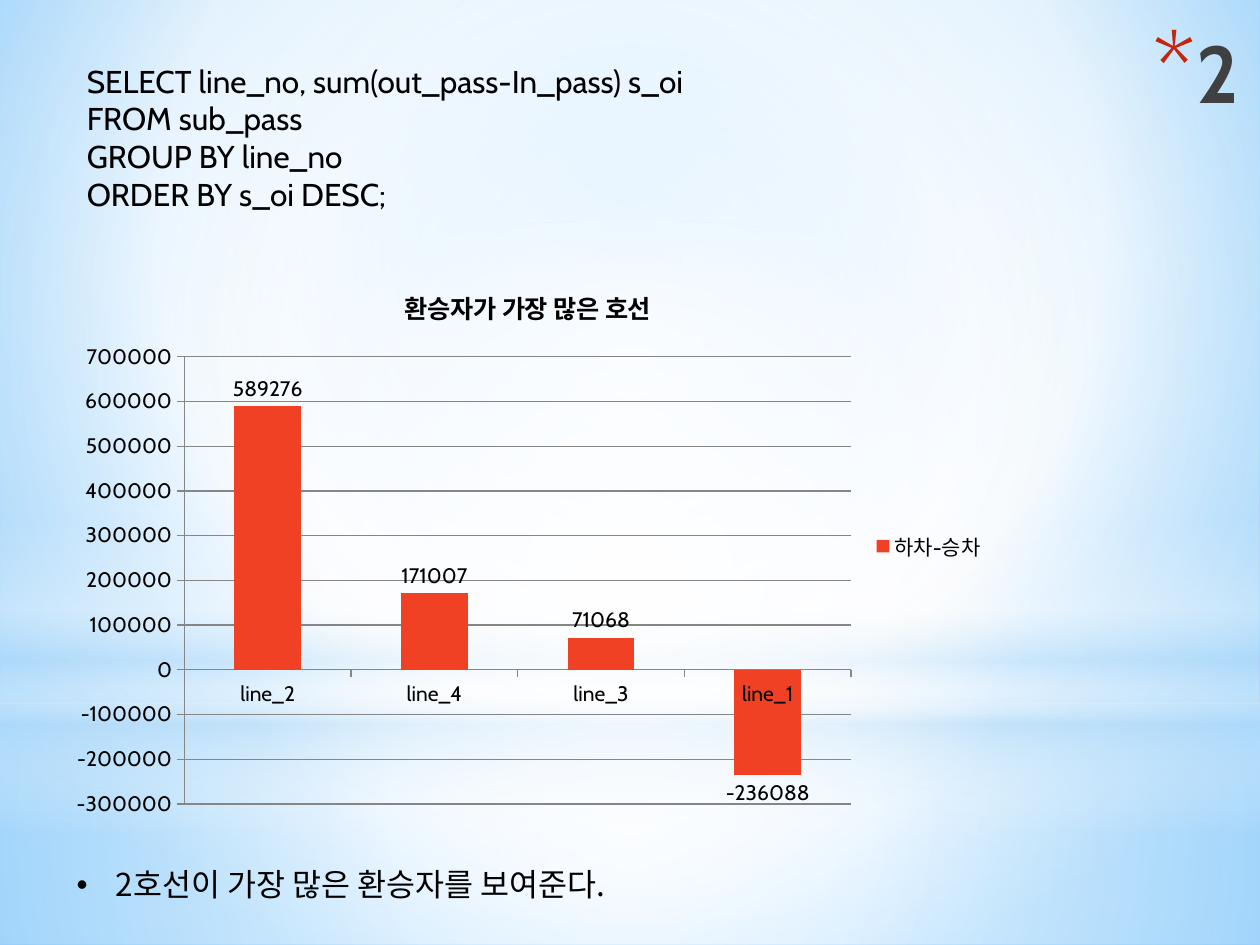
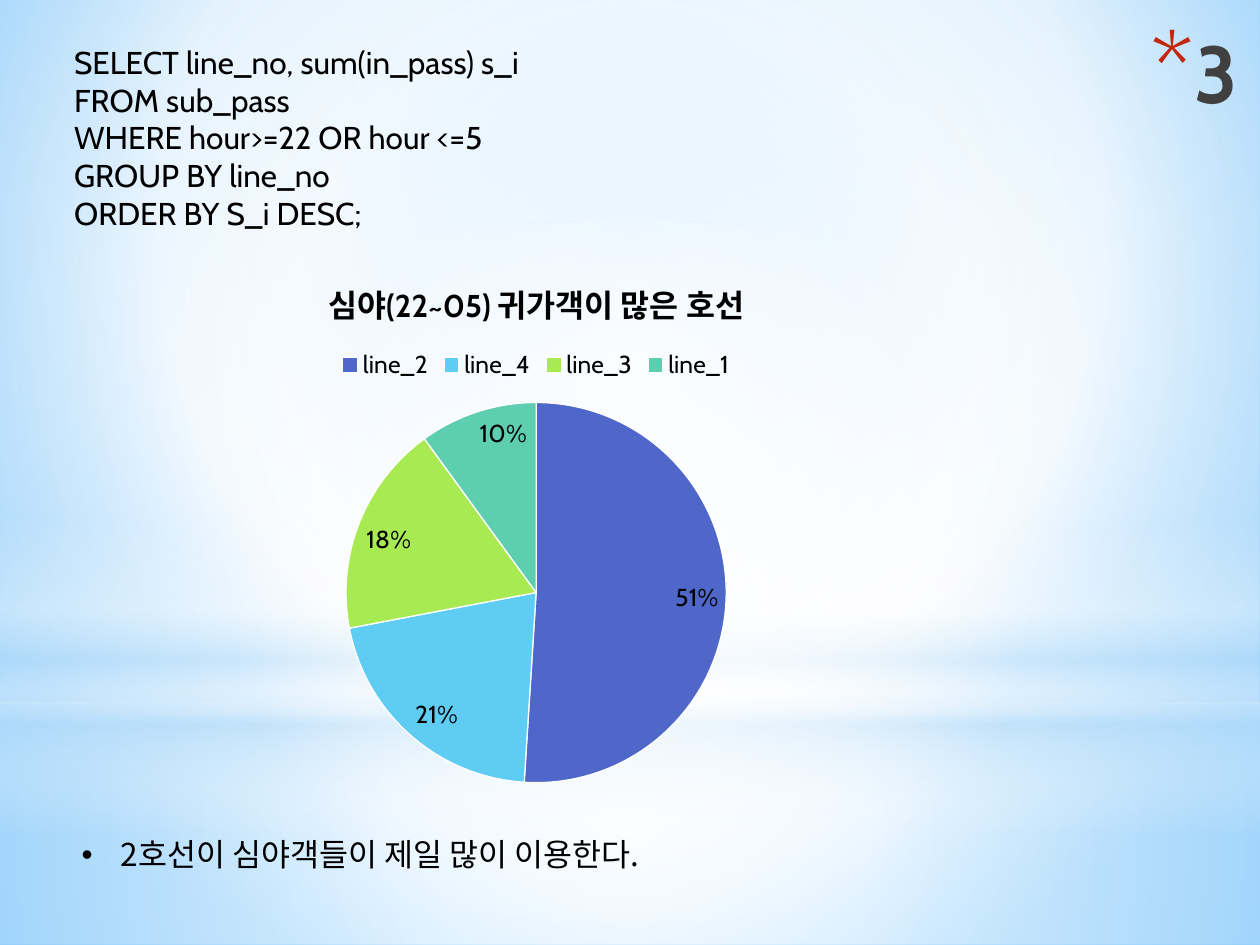
from lxml.etree import SubElement
from pptx import Presentation
from pptx.chart.data import CategoryChartData
from pptx.dml.color import RGBColor
from pptx.enum.chart import (XL_CHART_TYPE as ChartType, XL_LABEL_POSITION as LabelSpot,
                             XL_LEGEND_POSITION as LegendSpot, XL_TICK_MARK as Tick)
from pptx.enum.shapes import MSO_SHAPE as Preset
from pptx.enum.text import MSO_ANCHOR as Anchor, MSO_AUTO_SIZE as AutoSize, PP_ALIGN as Align
from pptx.oxml import parse_xml
from pptx.oxml.ns import nsdecls, qn
from pptx.util import Inches, Pt

LATIN, KOREAN = "Cabin", "Noto Sans CJK KR"
BLACK, WHITE, GREY, DARK = "000000", "FFFFFF", "868686", "404040"
SKY, RED, STAR_RED = "B4DCFA", "F14124", "C3260C"
PIE_COLOURS = ["4E67C8", "5ECCF3", "A7EA52", "5DCEAF"]
LINES = ["line_2", "line_4", "line_3", "line_1"]
CENTRE = (50, 50, 50, 50)
BACKDROP = ([(0, "9ED5FF", 100), (60, WHITE, 100), (100, "5BB9FF", 100)], (20, 10, 20, 60))
BANDS = [
    (Preset.RECTANGLE, (0, 5.58, 10, 1.92),
     [(0, WHITE, 91), (37, WHITE, 76), (100, SKY, 79)], CENTRE),
    (Preset.RECTANGLE, (0, 0, 10, 5.58),
     [(0, WHITE, 89), (48, WHITE, 62), (100, SKY, 79)], CENTRE),
    (Preset.RECTANGLE, (0, 4.12, 10, 2.5),
     [(0, WHITE, 0), (29, WHITE, 30), (45, SKY, 40), (55, WHITE, 26),
      (65, SKY, 60), (100, WHITE, 0)], None),
    (Preset.OVAL, (0, 1.75, 10, 5.58), [(0, WHITE, 100), (56, WHITE, 0)], CENTRE),
]


def colour(code):
    """Turn a hex string into a colour."""
    return RGBColor.from_string(code)


def inches(box):
    """Turn a box of numbers into lengths."""
    return [Inches(value) for value in box]


def apply(target, values):
    """Set each attribute named in a dict."""
    for name, value in values.items():
        setattr(target, name, value)


def style_font(font, size, code=BLACK, face=LATIN, bold=False):
    """Format a font."""
    apply(font, {"size": Pt(size), "name": face, "bold": bold})
    font.color.rgb = colour(code)


def set_gradient(element, fill, stops, focus):
    """Fill with a radial gradient around the focus, or a vertical one without it."""
    fill.solid()
    marks = "".join(
        f'<a:gs pos="{place * 1000}"><a:srgbClr val="{code}">'
        f'<a:alpha val="{alpha * 1000}"/></a:srgbClr></a:gs>' for place, code, alpha in stops)
    shade = '<a:lin ang="5400000" scaled="0"/>'
    if focus:
        sides = " ".join(f'{side}="{value * 1000}"' for side, value in zip("ltrb", focus))
        shade = f'<a:path path="circle"><a:fillToRect {sides}/></a:path>'
    solid = next(element.iter(qn("a:solidFill")))
    solid.getparent().replace(solid, parse_xml(
        f'<a:gradFill {nsdecls("a")} rotWithShape="1"><a:gsLst>{marks}</a:gsLst>{shade}</a:gradFill>'))


def add_page(deck):
    """Add a blank page with the shared sky backdrop."""
    page = deck.slides.add_slide(deck.slide_layouts[6])
    set_gradient(page._element, page.background.fill, *BACKDROP)
    for preset, box, stops, focus in BANDS:
        band = page.shapes.add_shape(preset, *inches(box))
        band.shadow.inherit = False
        band.line.fill.background()
        set_gradient(band._element, band.fill, stops, focus)
    return page


def add_text(page, box, lines, size=18, **font):
    """Write one paragraph per line in a box and return the paragraphs."""
    frame = page.shapes.add_textbox(*inches(box)).text_frame
    apply(frame, {"word_wrap": True, "vertical_anchor": Anchor.TOP, "text": "\n".join(lines)})
    frame.auto_size = AutoSize.SHAPE_TO_FIT_TEXT if size == 18 else AutoSize.NONE
    for para in frame.paragraphs:
        for span in para.runs:
            style_font(span.font, size, **font)
            SubElement(span.font._element, qn("a:ea"), typeface=KOREAN)
    return frame.paragraphs


def add_bullet(para, indent, mark, code=BLACK, scale=100, face="Arial"):
    """Give a paragraph a hanging bullet."""
    layout = para._p.get_or_add_pPr()
    layout.set("marL", str(Inches(indent)))
    layout.set("indent", str(-Inches(indent)))
    SubElement(SubElement(layout, qn("a:buClr")), qn("a:srgbClr"), val=code)
    SubElement(layout, qn("a:buSzPct"), val=str(scale * 1000))
    SubElement(layout, qn("a:buFont"), typeface=face)
    SubElement(layout, qn("a:buChar"), char=mark)


def add_number(page, left, number):
    """Write the page's number title with its red star."""
    para = add_text(page, (left, 0.13, 7.12, 1.25), [number], 46, code=DARK, bold=True)[0]
    para.alignment = Align.RIGHT
    add_bullet(para, 0.35, "*", STAR_RED, 128, LATIN)


def add_finding(page, left, top, text):
    """Write the bulleted finding below the chart."""
    add_bullet(add_text(page, (left, top, 6.27, 0.4), [text], face=KOREAN)[0], 0.31, "•")


def add_chart(page, kind, box, series_name, values, title, sizes, legend_spot):
    """Add a titled chart with a legend and return it with its labels."""
    data = CategoryChartData()
    data.categories = LINES
    data.add_series(series_name, values)
    chart = page.shapes.add_chart(kind, *inches(box), data).chart
    size, title_size = sizes
    style_font(chart.font, size)
    chart.has_title = chart.has_legend = True
    chart.chart_title.text_frame.text = title
    span = chart.chart_title.text_frame.paragraphs[0].runs[0]
    style_font(span.font, title_size, bold=True)
    apply(chart.legend, {"position": legend_spot, "include_in_layout": False})
    plot = chart.plots[0]
    plot.has_data_labels = True
    return chart, plot, plot.data_labels


def add_transfer_chart(page, box):
    """Draw the columns of transfers by line."""
    chart, plot, labels = add_chart(
        page, ChartType.COLUMN_CLUSTERED, box, "하차-승차", [589276, 171007, 71068, -236088],
        "환승자가 가장 많은 호선", (12, 14.4), LegendSpot.RIGHT)
    apply(plot, {"gap_width": 150, "vary_by_categories": False})
    apply(labels, {"show_value": True, "position": LabelSpot.OUTSIDE_END})
    series = plot.series[0]
    series.invert_if_negative = False
    series.format.fill.solid()
    series.format.fill.fore_color.rgb = colour(RED)
    chart.value_axis.has_major_gridlines = True
    for axis in (chart.category_axis, chart.value_axis):
        apply(axis, {"major_tick_mark": Tick.OUTSIDE, "minor_tick_mark": Tick.NONE})
    for part in (chart.category_axis, chart.value_axis, chart.value_axis.major_gridlines):
        part.format.line.color.rgb = colour(GREY)
        part.format.line.width = Pt(0.75)


def add_night_chart(page, box):
    """Draw the pie of night riders by line."""
    chart, plot, labels = add_chart(
        page, ChartType.PIE, box, "Series 1", [51, 21, 18, 10],
        "심야(22~05) 귀가객이 많은 호선", (14, 18), LegendSpot.TOP)
    plot.vary_by_categories = True
    apply(labels, {"show_percentage": True, "show_value": False, "number_format": "0%",
                   "number_format_is_linked": False, "position": LabelSpot.INSIDE_END})
    for index, code in enumerate(PIE_COLOURS):
        look = plot.series[0].points[index].format
        look.fill.solid()
        look.fill.fore_color.rgb = colour(code)
        look.line.color.rgb = colour(WHITE)
        look.line.width = Pt(0.75)


def build_transfer_page(deck):
    """Build the page about transfers."""
    page = add_page(deck)
    add_number(page, 2.81, "2")
    add_finding(page, 0.51, 6.82, "2호선이 가장 많은 환승자를 보여준다.")
    add_text(page, (0.59, 0.44, 5.91, 1.31), [
        "SELECT line_no, sum(out_pass-In_pass) s_oi", "FROM sub_pass",
        "GROUP BY line_no", "ORDER BY s_oi DESC;"])
    add_transfer_chart(page, (0.46, 2.1, 7.46, 4.47))


def build_night_page(deck):
    """Build the page about night riders."""
    page = add_page(deck)
    add_number(page, 2.8, "3")
    add_finding(page, 0.55, 6.58, "2호선이 심야객들이 제일 많이 이용한다.")
    add_text(page, (0.49, 0.29, 5, 1.62), [
        "SELECT line_no, sum(in_pass) s_i", "FROM sub_pass", "WHERE hour>=22 OR hour <=5",
        "GROUP BY line_no", "ORDER BY S_i DESC;"])
    add_night_chart(page, (0.49, 2.01, 7.53, 4.34))


def main():
    """Build and save the deck."""
    deck = Presentation()
    apply(deck, {"slide_width": Inches(10), "slide_height": Inches(7.5)})
    build_transfer_page(deck)
    build_night_page(deck)
    deck.save("out.pptx")


if __name__ == "__main__":
    main()
